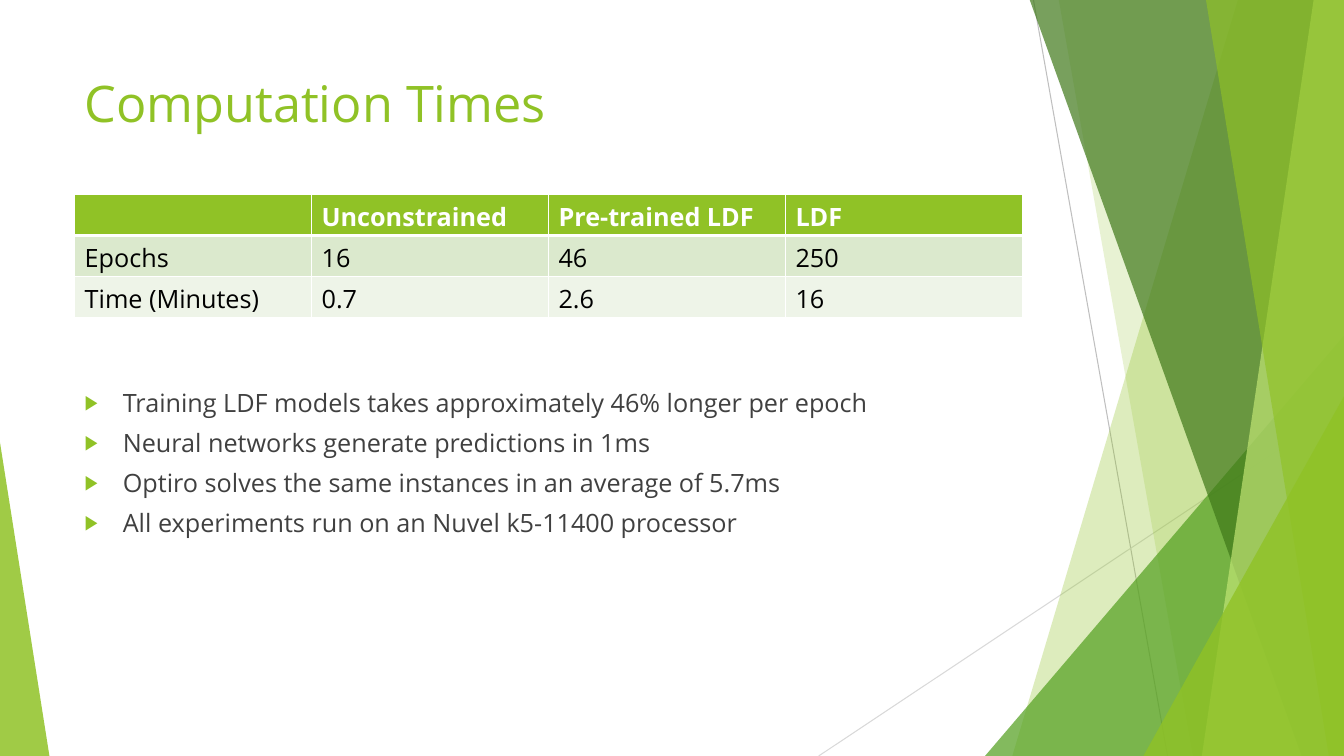
from pptx import Presentation
from pptx.dml.color import RGBColor
from pptx.enum.shapes import MSO_CONNECTOR, MSO_SHAPE
from pptx.oxml import parse_xml
from pptx.oxml.ns import nsdecls, qn
from pptx.util import Inches, Pt
from lxml.etree import SubElement

COLORS = {
    "green": "90C226", "mid": "54A021", "dark": "3F7819", "lime": "C0E474",
    "line": "BFBFBF", "pale_line": "D9D9D9", "white": "FFFFFF",
    "black": "000000", "text": "404040", "row_1": "DBE9CD", "row_2": "EEF4E8",
}
FONT = "Open Sans"
WIDTH, HEIGHT = 13.33, 7.5
LEFT, CONTENT_WIDTH = 0.74, 9.4


def paint(shape, color, opacity):
    shape.shadow.inherit = False
    shape.line.fill.background()
    shape.fill.solid()
    shape.fill.fore_color.rgb = RGBColor.from_string(COLORS[color])
    tint = shape.element.spPr.find(qn("a:solidFill"))[0]
    SubElement(tint, qn("a:alpha")).set("val", str(opacity * 1000))


def style(para, size, color, bold=False):
    for span in para.runs:
        span.font.name = FONT
        span.font.size = Pt(size)
        span.font.bold = bold
        span.font.color.rgb = RGBColor.from_string(COLORS[color])


deck = Presentation()
deck.slide_width, deck.slide_height = Inches(WIDTH), Inches(HEIGHT)
page = deck.slides.add_slide(deck.slide_layouts[6])
shapes = page.shapes

# Thin background lines
for x1, y1, x2, y2, color in [
    (10.25, 0, 11.58, HEIGHT, "line"),
    (WIDTH, 4.03, 8.12, HEIGHT, "pale_line"),
]:
    ray = shapes.add_connector(
        MSO_CONNECTOR.STRAIGHT, Inches(x1), Inches(y1), Inches(x2), Inches(y2))
    ray.line.color.rgb = RGBColor.from_string(COLORS[color])
    ray.line.width = Pt(0.75)
    SubElement(ray.element.spPr, qn("a:effectLst"))

# Translucent facets, back to front: bands run from a top x to a bottom x and
# reach the right edge; triangles have left, top, width and apex position
for kind, place, color, opacity in [
    ("band", (12.28, 10.04), "green", 30),
    ("band", (10.5, 11.83), "green", 20),
    ("triangle", (9.77, 3.33, 3.56, 1), "mid", 72),
    ("band", (10.21, 12.91), "dark", 70),
    ("band", (13.03, 11.92), "lime", 70),
    ("band", (11.96, 13.18), "green", 65),
    ("triangle", (11.34, 3.93, 1.99, 1), "green", 80),
    ("triangle", (0, 4.39, 0.49, 0), "green", 85),
]:
    if kind == "band":
        top_x, bottom_x = place
        outline = shapes.build_freeform(Inches(top_x), Inches(-0.01))
        corners = [(WIDTH, -0.01), (WIDTH, HEIGHT), (bottom_x, HEIGHT)]
        outline.add_line_segments([(Inches(x), Inches(y)) for x, y in corners])
        facet = outline.convert_to_shape()
    else:
        left, top, width, apex = place
        facet = shapes.add_shape(
            MSO_SHAPE.ISOSCELES_TRIANGLE, Inches(left), Inches(top),
            Inches(width), Inches(HEIGHT - top))
        facet.adjustments[0] = apex
    paint(facet, color, opacity)

# Title
title = shapes.add_textbox(
    Inches(LEFT), Inches(0.67), Inches(CONTENT_WIDTH), Inches(1.44))
title.text_frame.word_wrap = True
title.text_frame.text = "Computation Times"
style(title.text_frame.paragraphs[0], 36, "green")

# Bullets
body = shapes.add_textbox(
    Inches(LEFT), Inches(3.79), Inches(CONTENT_WIDTH), Inches(2.25))
body.text_frame.word_wrap = True
body.text_frame.text = "\n".join([
    "Training LDF models takes approximately 46% longer per epoch",
    "Neural networks generate predictions in 1ms",
    "Optiro solves the same instances in an average of 5.7ms",
    "All experiments run on an Nuvel k5-11400 processor",
])
for para in body.text_frame.paragraphs:
    style(para, 18, "text")
    para.space_before = Pt(7)
    props = para._p.get_or_add_pPr()
    props.set("marL", str(Inches(0.38)))
    props.set("indent", str(Inches(-0.38)))
    bullet_color = SubElement(props, qn("a:buClr"))
    SubElement(bullet_color, qn("a:srgbClr")).set("val", COLORS["green"])
    SubElement(props, qn("a:buSzPct")).set("val", "80000")
    SubElement(props, qn("a:buFont")).set("typeface", FONT)
    SubElement(props, qn("a:buChar")).set("char", "▶")

# Computation time table
rows = [
    ("", "Unconstrained", "Pre-trained LDF", "LDF"),
    ("Epochs", "16", "46", "250"),
    ("Time (Minutes)", "0.7", "2.6", "16"),
]
row_looks = [("green", "white"), ("row_1", "black"), ("row_2", "black")]
table = shapes.add_table(
    len(rows), len(rows[0]), Inches(LEFT), Inches(1.93),
    Inches(CONTENT_WIDTH), Inches(1.22)).table
for r, (values, (fill, ink)) in enumerate(zip(rows, row_looks)):
    for c, value in enumerate(values):
        cell = table.cell(r, c)
        cell.text = value
        style(cell.text_frame.paragraphs[0], 18, ink, bold=r == 0)
        cell.fill.solid()
        cell.fill.fore_color.rgb = RGBColor.from_string(COLORS[fill])
        # White rules, thicker under the header
        edges = {"L": 1, "R": 1, "T": 3 if r == 1 else 1, "B": 3 if r == 0 else 1}
        for i, (side, points) in enumerate(edges.items()):
            cell._tc.get_or_add_tcPr().insert(i, parse_xml(
                f'<a:ln{side} {nsdecls("a")} w="{Pt(points)}"><a:solidFill>'
                f'<a:srgbClr val="{COLORS["white"]}"/></a:solidFill></a:ln{side}>'))

deck.save("out.pptx")
